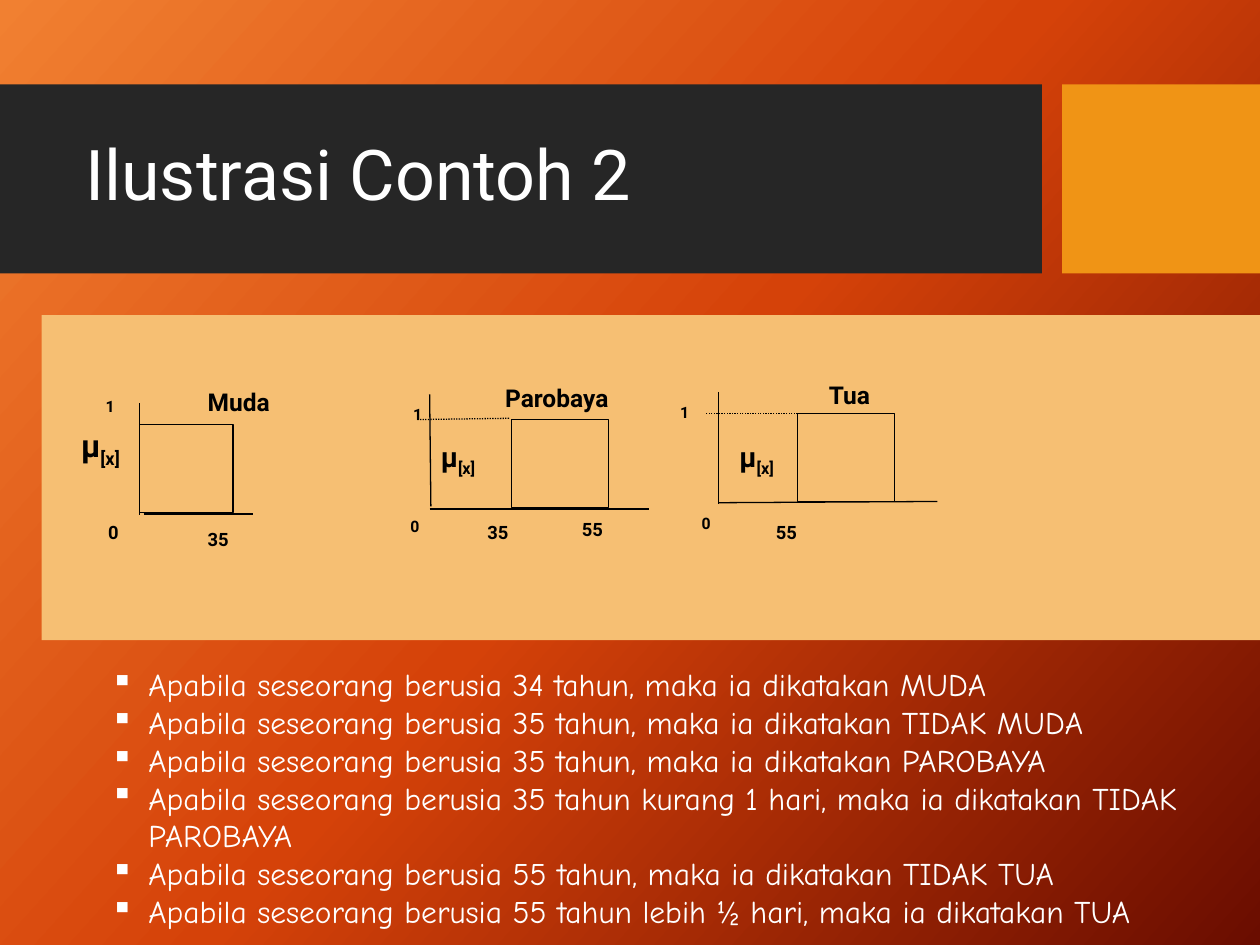
from copy import deepcopy
from pptx import Presentation
from pptx.dml.color import RGBColor as RGB
from pptx.enum.dml import MSO_LINE as Dash
from pptx.enum.shapes import MSO_CONNECTOR as Conn, MSO_SHAPE as Shape
from pptx.enum.text import MSO_ANCHOR as Anchor, MSO_AUTO_SIZE as Auto, PP_ALIGN as Align
from pptx.oxml.ns import qn
from pptx.oxml.xmlchemy import OxmlElement as Node
from pptx.util import Inches, Pt

HUES = {"dark": "262626", "gold": "F09415", "sand": "F6BF73", "ink": "000000",
        "white": "FFFFFF", "glow": "F18031", "fire": "D54209", "wine": "6A0D00"}

PLOTS = [
    {"labels": [("Muda", 1.55, 3.02, 0.94, 0.34, 14), ("1", 0.74, 3.1, 0.37, 0.25, 9),
                ("0", 0.76, 4.09, 0.46, 0.28, 10.5), ("35", 1.55, 4.14, 0.43, 0.28, 10.5)],
     "mu": (0.45, 3.33, 0.6, 0.77, 18, Align.RIGHT),
     "axes": [(1.11, 3.2, 1.11, 4.09), (1.14, 4.08, 2.01, 4.08)],
     "box": (1.11, 3.37, 0.74, 0.7)},
    {"labels": [("Parobaya", 3.91, 2.99, 1.08, 0.34, 14), ("1", 3.18, 3.16, 0.37, 0.25, 9),
                ("0", 3.16, 4.05, 0.46, 0.25, 9), ("35", 3.77, 4.09, 0.56, 0.28, 10.5),
                ("55", 4.52, 4.06, 0.56, 0.28, 10.5)],
     "mu": (3.4, 3.44, 0.61, 0.37, 16, Align.LEFT),
     "axes": [(3.41, 3.13, 3.42, 4.02), (3.41, 4.04, 5.15, 4.04)],
     "box": (4.06, 3.33, 0.77, 0.7), "dots": (4.04, 3.32, 3.31, 3.33)},
    {"labels": [("Tua", 6.48, 2.97, 0.8, 0.34, 14), ("1", 5.3, 3.15, 0.37, 0.25, 9),
                ("0", 5.47, 4.03, 0.46, 0.25, 9), ("55", 6.06, 4.09, 0.56, 0.28, 10.5)],
     "mu": (5.77, 3.44, 0.56, 0.37, 16, Align.LEFT),
     "axes": [(5.7, 3.11, 5.7, 4), (5.7, 3.99, 7.44, 3.98)],
     "box": (6.33, 3.28, 0.77, 0.7), "dots": (6.33, 3.28, 5.6, 3.28)},
]

RULES = [
    "34 tahun, maka ia dikatakan MUDA",
    "35 tahun, maka ia dikatakan TIDAK MUDA",
    "35 tahun, maka ia dikatakan PAROBAYA",
    "35 tahun kurang 1 hari, maka ia dikatakan TIDAK PAROBAYA",
    "55 tahun, maka ia dikatakan TIDAK TUA",
    "55 tahun lebih ½ hari, maka ia dikatakan TUA",
]


def tint(name):
    return RGB.from_string(HUES[name])


def write(para, text, size=18, font="Roboto", hue="ink", bold=False, base=0, align=Align.LEFT):
    para.alignment = align
    run = para.add_run()
    run.text = text
    run.font.size = Pt(size)
    run.font.name = font
    run.font.bold = bold
    run.font.color.rgb = tint(hue)
    if base:
        run._r.get_or_add_rPr().set("baseline", str(base * 1000))


class Deck:
    """Holds the style and the current slide."""

    def __init__(self):
        self.file = Presentation()
        self.file.slide_width, self.file.slide_height = Inches(10), Inches(7.5)
        self.slide = self.file.slides.add_slide(self.file.slide_layouts[6])
        self.items = self.slide.shapes

    def back(self, hues, angle):
        fill = self.slide.background.fill
        fill.gradient()
        stops = self.slide._element.find(".//" + qn("a:gsLst"))
        stops.append(deepcopy(stops[-1]))
        for num, (stop, hue) in enumerate(zip(fill.gradient_stops, hues)):
            stop.color.rgb = tint(hue)
            stop.position = num / (len(hues) - 1)
        fill.gradient_angle = 360 - angle

    def rect(self, spot, fill, line=None):
        box = self.items.add_shape(Shape.RECTANGLE, *map(Inches, spot))
        box.shadow.inherit = False
        box.fill.solid()
        box.fill.fore_color.rgb = tint(fill)
        if line:
            box.line.color.rgb = tint(line)
            box.line.width = Pt(0.75)
        else:
            box.line.fill.background()

    def text(self, spot, fill=None, auto=Auto.SHAPE_TO_FIT_TEXT):
        box = self.items.add_textbox(*map(Inches, spot))
        if fill:
            box.fill.solid()
            box.fill.fore_color.rgb = tint(fill)
        box.text_frame.word_wrap = True
        box.text_frame.auto_size = auto
        return box.text_frame

    def title(self, text, spot):
        frame = self.text(spot, auto=Auto.NONE)
        frame.vertical_anchor = Anchor.MIDDLE
        frame.paragraphs[0].line_spacing = 0.9
        write(frame.paragraphs[0], text, size=40, hue="white")

    def line(self, ends, dash=None):
        link = self.items.add_connector(Conn.STRAIGHT, *map(Inches, ends))
        link.line.color.rgb = tint("ink")
        link.line.width = Pt(0.75)
        if dash:
            link.line.dash_style = dash
        link._element.spPr.append(Node("a:effectLst"))

    def plot(self, data):
        for text, *spot, size in data["labels"]:
            write(self.text(spot, "sand").paragraphs[0], text, size=size, bold=True)
        *spot, size, align = data["mu"]
        para = self.text(spot, "sand").paragraphs[0]
        for text, base in (("μ", 0), ("[x]", -25)):
            write(para, text, size=size, bold=True, base=base, align=align)
        for ends in data["axes"]:
            self.line(ends)
        self.rect(data["box"], "sand", "ink")
        if "dots" in data:
            self.line(data["dots"], Dash.ROUND_DOT)

    def bullets(self, rows, spot):
        frame = self.text(spot)
        for num, row in enumerate(rows):
            para = frame.add_paragraph() if num else frame.paragraphs[0]
            write(para, row, font="Comic Neue", hue="white")
            props = para._p.get_or_add_pPr()
            props.set("marL", str(Inches(0.3)))
            props.set("indent", str(-Inches(0.3)))
            mark = Node("a:buChar")
            mark.set("char", "▪")
            props.append(mark)


def main():
    deck = Deck()
    deck.back(["glow", "fire", "wine"], 42)
    deck.rect((0, 0.67, 8.27, 1.5), "dark")
    deck.rect((8.43, 0.67, 1.57, 1.5), "gold")
    deck.title("Ilustrasi Contoh 2", (0.58, 0.82, 7.54, 1.18))
    deck.rect((0.33, 2.5, 9.94, 2.58), "sand")
    for data in PLOTS:
        deck.plot(data)
    deck.bullets([f"Apabila seseorang berusia {rule}" for rule in RULES], (0.78, 5.23, 9.22, 2.22))
    deck.file.save("out.pptx")


if __name__ == "__main__":
    main()
